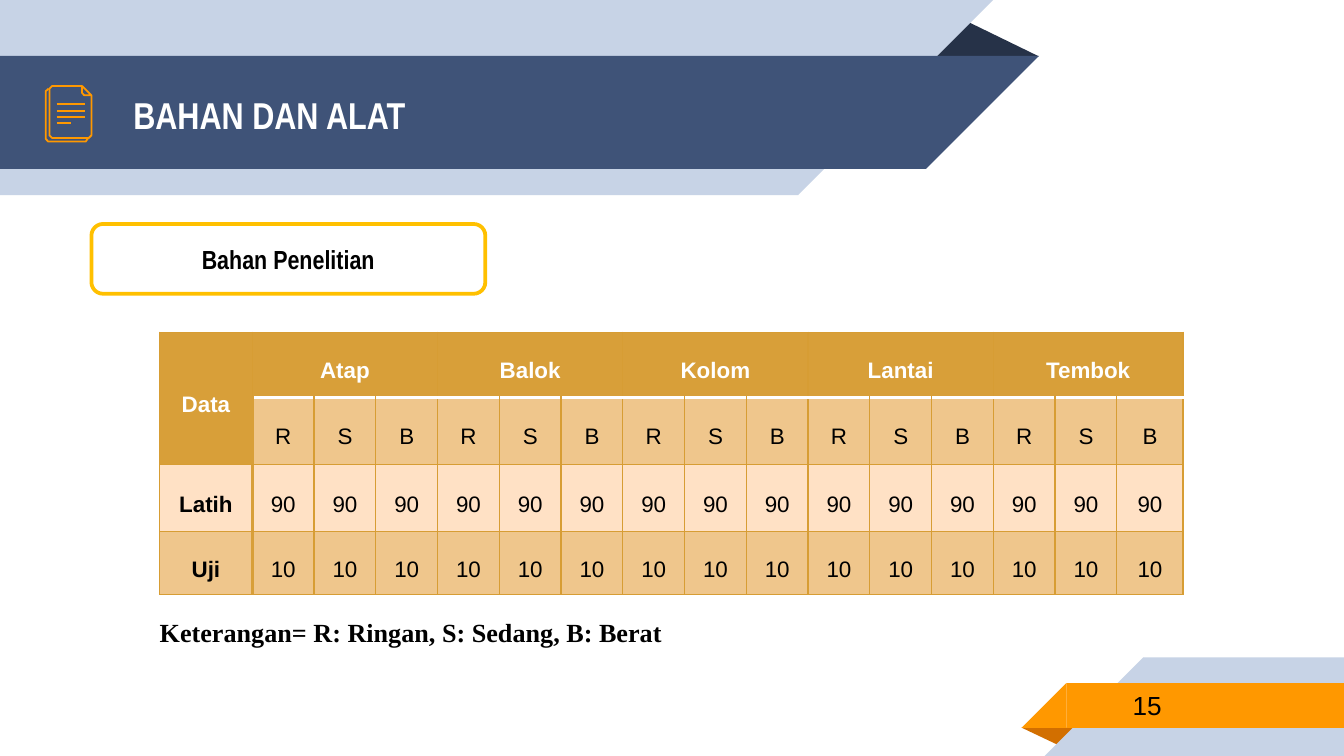
import pptx
import pptx.util
import pptx.dml.color
import pptx.enum.shapes
import pptx.enum.text
import pptx.oxml
import pptx.oxml.ns

Pt = pptx.util.Pt
Kind = pptx.enum.shapes.MSO_SHAPE
Align = pptx.enum.text.PP_ALIGN
Anchor = pptx.enum.text.MSO_ANCHOR

HUES = {
    "pale": "C7D3E6", "navy": "3F5378", "night": "263248",
    "orange": "FF9800", "rust": "D26F00", "amber": "FFC000",
    "gold": "D89F39", "edge": "D79D34", "tan": "EFC68C", "cream": "FFE1C5",
    "white": "FFFFFF", "black": "000000",
}


def hue(name):
    """Return the named colour."""
    return pptx.dml.color.RGBColor.from_string(HUES[name])


def write(para, text, size, font, color, bold=False):
    """Add one formatted run to a paragraph."""
    run = para.add_run()
    run.text = text
    run.font.size = Pt(size)
    run.font.name = font
    run.font.bold = bold
    run.font.color.rgb = hue(color)


def block(slide, kind, box, fill, turn=0):
    """Add a plain filled shape."""
    shape = slide.shapes.add_shape(kind, *map(Pt, box))
    shape.shadow.inherit = False
    shape.fill.solid()
    shape.fill.fore_color.rgb = hue(fill)
    shape.line.fill.background()
    shape.rotation = turn
    return shape


def ribbon(slide, box, fill, right=True):
    """Add a bar with a slanted tip at its right or left end."""
    x, y, w, h = box
    bar, tip, turn = (x, x + w - h, 90) if right else (x + h, x, 270)
    block(slide, Kind.RECTANGLE, (bar, y, w - h, h), fill)
    block(slide, Kind.RIGHT_TRIANGLE, (tip, y, h, h), fill, turn)


def fold(slide, box, fill, turn=0):
    """Add the dark folded corner behind a ribbon."""
    shape = block(slide, Kind.ISOSCELES_TRIANGLE, box, fill, turn)
    shape.adjustments[0] = 0.32


def head(slide, box):
    """Place the header ribbons and the title."""
    x, y, w, h = box
    fold(slide, (x + w - 61, y + 10, 61, 20.2), "night")
    ribbon(slide, (x, y, w - 24.5, h), "pale")
    ribbon(slide, (x, y + 30, w, 60.5), "navy")
    title = slide.shapes.title
    title.left, title.top = Pt(x + 64.2), Pt(y + 31)
    title.width, title.height = Pt(414), Pt(60.5)
    slide.shapes._spTree.append(title._element)
    frame = title.text_frame
    frame.vertical_anchor = Anchor.MIDDLE
    para = frame.paragraphs[0]
    para.alignment = Align.LEFT
    write(para, "BAHAN DAN ALAT", 20, "Arial Narrow", "white", True)


def foot(slide, box):
    """Place the footer ribbons and the page number."""
    x, y, w, h = box
    fold(slide, (x, y + 37.6, 31, 10), "rust", 180)
    ribbon(slide, (x + 12.4, y, w - 12.4, h), "pale", False)
    ribbon(slide, (x, y + 13.8, w, 24), "orange", False)
    text = slide.shapes.add_textbox(*map(Pt, (x + 52.5, y + 13.3, 117, 25)))
    frame = text.text_frame
    frame.word_wrap = True
    frame.vertical_anchor = Anchor.MIDDLE
    write(frame.paragraphs[0], "15", 14, "Arial", "black")


def trace(slide, x, y, dots, close=False):
    """Draw an orange outline through points given from x and y."""
    pts = [(Pt(x + a), Pt(y + b)) for a, b in dots]
    pen = slide.shapes.build_freeform(*pts[0])
    pen.add_line_segments(pts[1:], close=close)
    shape = pen.convert_to_shape()
    shape.shadow.inherit = False
    shape.fill.background()
    shape.line.color.rgb = hue("orange")
    shape.line.width = Pt(0.96)


def icon(slide, box):
    """Draw the stacked pages icon."""
    x, y, w, h = box
    trace(slide, x, y, [(w - 1.6, h - 2.2), (w - 3, h), (1.4, h),
                        (0, h - 1.5), (0, 2.8), (1.6, 1.4)])
    trace(slide, x, y, [(w, 5), (w, h - 3.4), (w - 1.4, h - 2),
                        (3.4, h - 2), (2, h - 3.4), (2, 1.4),
                        (3.4, 0), (w - 5, 0)])
    trace(slide, x, y, [(w - 5, 0), (w, 5), (w - 3.8, 5), (w - 5, 3.8)], True)
    for i, wide in enumerate((15.4, 15.4, 15.4, 8)):
        row = y + 9.8 + 3.4 * i
        line = slide.shapes.add_connector(
            pptx.enum.shapes.MSO_CONNECTOR.STRAIGHT,
            *map(Pt, (x + 5.8, row, x + 5.8 + wide, row)))
        line.line.color.rgb = hue("orange")
        line.line.width = Pt(0.96)
        line._element.spPr.append(pptx.oxml.parse_xml(
            "<a:effectLst %s/>" % pptx.oxml.ns.nsdecls("a")))


def label(slide, box):
    """Place the rounded section label."""
    shape = block(slide, Kind.ROUNDED_RECTANGLE, box, "white")
    shape.fill.background()
    shape.line.color.rgb = hue("amber")
    shape.line.width = Pt(2)
    frame = shape.text_frame
    frame.vertical_anchor = Anchor.MIDDLE
    para = frame.paragraphs[0]
    para.alignment = Align.CENTER
    write(para, "Bahan Penelitian", 14, "Arial Narrow", "black", True)


def border(cell, side, color, width):
    """Draw one side of a cell."""
    cell._tc.get_or_add_tcPr().append(pptx.oxml.parse_xml(
        '<a:ln%s %s w="%d"><a:solidFill><a:srgbClr val="%s"/></a:solidFill></a:ln%s>'
        % (side, pptx.oxml.ns.nsdecls("a"), Pt(width), HUES[color], side)))


def grid(slide, box):
    """Place the table of sample counts."""
    parts = ["Atap", "Balok", "Kolom", "Lantai", "Tembok"]
    rows = [["Data"] + [t for part in parts for t in (part, "", "")],
            [""] + list("RSB") * 5,
            ["Latih"] + ["90"] * 15,
            ["Uji"] + ["10"] * 15]
    fills = ["gold", "tan", "cream", "tan"]
    table = slide.shapes.add_table(4, 16, *map(Pt, box)).table
    table.first_row = table.horz_banding = False
    for col, wide in zip(table.columns, [49.7] + [33.1] * 14 + [35.5]):
        col.width = Pt(wide)
    for row, tall in zip(table.rows, (34.8, 36, 36, 33.6)):
        row.height = Pt(tall)
    for i, row in enumerate(rows):
        for j, text in enumerate(row):
            cell = table.cell(i, j)
            lead = i == 0 or j == 0
            rule = {side: ("edge", 0.75) for side in "LRTB"}
            if j and i < 2:
                rule["B" if i == 0 else "T"] = ("white", 2)
            if i and j < 2:
                rule["L" if j else "R"] = ("gold", 2)
            for side, (color, width) in rule.items():
                border(cell, side, color, width)
            cell.fill.solid()
            cell.fill.fore_color.rgb = hue("gold" if lead and i < 2 else fills[i])
            cell.margin_left = cell.margin_right = Pt(5)
            cell.margin_top = cell.margin_bottom = Pt(0)
            cell.vertical_anchor = Anchor.MIDDLE
            if text:
                para = cell.text_frame.paragraphs[0]
                para.alignment = Align.CENTER
                para.line_spacing = 1.5
                color = "white" if i == 0 else "black"
                write(para, text, 12, "Arial", color, lead)
    table.cell(0, 0).merge(table.cell(1, 0))
    for j in range(1, 16, 3):
        table.cell(0, j).merge(table.cell(0, j + 2))


def note(slide, box):
    """Place the key below the table."""
    frame = slide.shapes.add_textbox(*map(Pt, box)).text_frame
    frame.word_wrap = False
    frame.auto_size = pptx.enum.text.MSO_AUTO_SIZE.SHAPE_TO_FIT_TEXT
    write(frame.paragraphs[0], "Keterangan= R: Ringan, S: Sedang, B: Berat",
          14, "Times New Roman", "black", True)


def main():
    """Build and save the slide."""
    deck = pptx.Presentation()
    deck.slide_width, deck.slide_height = Pt(720), Pt(405)
    slide = deck.slides.add_slide(deck.slide_layouts[5])
    head(slide, (0, 0, 556.6, 104.5))
    foot(slide, (547.2, 352.2, 172.8, 52.8))
    icon(slide, (24.5, 46.1, 24.5, 29.8))
    label(slide, (49, 120, 211, 37.4))
    grid(slide, (85.5, 178, 548.6, 140.4))
    note(slide, (78.5, 326.9, 288.7, 24.2))
    deck.save("out.pptx")


if __name__ == "__main__":
    main()
